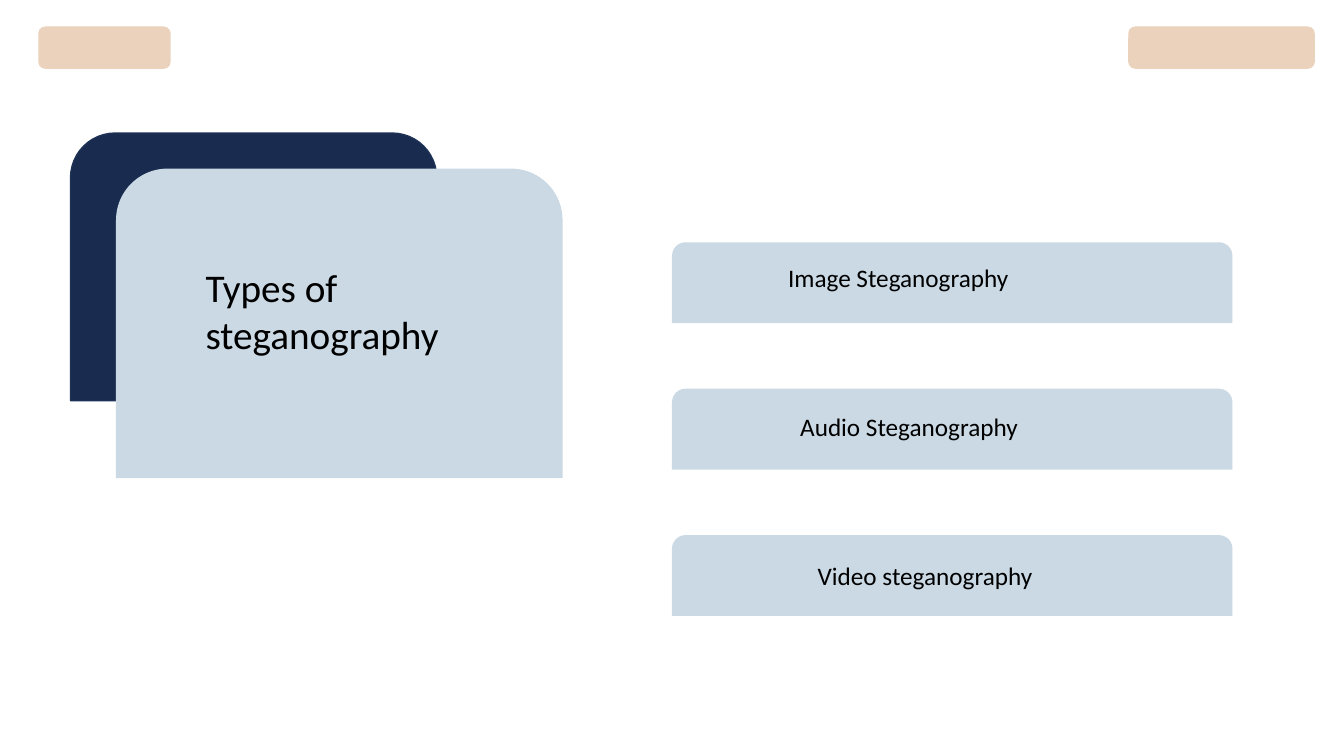
from pptx import Presentation
from pptx.dml.color import RGBColor
from pptx.enum.shapes import MSO_SHAPE
from pptx.enum.text import MSO_ANCHOR, MSO_AUTO_SIZE, PP_ALIGN
from pptx.util import Inches, Pt


def shade(code):
    return RGBColor.from_string(code)


class Deck:
    font, ink = "Calibri", "000000"
    sand, navy, edge, pale = "EAD2BC", "192C4F", "1E3256", "CAD9E4"

    def __init__(self):
        self.show = Presentation()
        self.show.slide_width = Inches(13.33)
        self.show.slide_height = Inches(7.5)
        self.slide = self.show.slides.add_slide(self.show.slide_layouts[5])

    def area(self, x, y, w, h):
        """Turn percentages of the slide's size into lengths."""
        wide, high = self.show.slide_width, self.show.slide_height
        return [int(part * size / 100)
                for part, size in zip((x, y, w, h), (wide, high) * 2)]

    def panel(self, kind, place, fill, line=None):
        shape = self.slide.shapes.add_shape(kind, *self.area(*place))
        shape.shadow.inherit = False
        shape.fill.solid()
        shape.fill.fore_color.rgb = shade(fill)
        if line:
            shape.line.color.rgb = shade(line)
            shape.line.width = Pt(1)
        else:
            shape.line.fill.background()

    def set_text(self, box, text, size):
        frame = box.text_frame
        frame.text = text
        frame.word_wrap = True
        frame.auto_size = MSO_AUTO_SIZE.SHAPE_TO_FIT_TEXT
        frame.vertical_anchor = MSO_ANCHOR.TOP
        line = frame.paragraphs[0]
        line.alignment = PP_ALIGN.LEFT
        line.font.name = self.font
        line.font.size = Pt(size)
        line.font.color.rgb = shade(self.ink)

    def title(self, place, text):
        """Fill the title placeholder and bring it to the front."""
        box = self.slide.shapes.title
        box.left, box.top, box.width, box.height = self.area(*place)
        self.set_text(box, text, 28)
        box.element.getparent().append(box.element)

    def label(self, place, text):
        box = self.slide.shapes.add_textbox(*self.area(*place))
        self.set_text(box, text, 18)


def main():
    deck = Deck()
    tab, card = MSO_SHAPE.ROUNDED_RECTANGLE, MSO_SHAPE.ROUND_2_SAME_RECTANGLE

    for x, w in ((2.85, 9.85), (83.95, 13.88)):
        deck.panel(tab, (x, 3.5, w, 5.6), deck.sand)

    deck.panel(card, (5.25, 17.6, 27.25, 35.4), deck.navy, deck.edge)
    deck.panel(card, (8.63, 22.3, 33.23, 40.95), deck.pale)
    deck.title((14.55, 34.1, 27.3, 13.9), "Types of steganography")

    kinds = (("Image Steganography", 57.9),
             ("Audio Steganography", 58.8),
             ("Video steganography", 60.1))
    for row, (name, x) in enumerate(kinds):
        deck.panel(card, (50, 32.05 + 19.37 * row, 41.7, 10.7), deck.pale)
        deck.label((x, 34.1 + 19.7 * row, 39.9, 5.4), name)

    deck.show.save("out.pptx")


if __name__ == "__main__":
    main()
